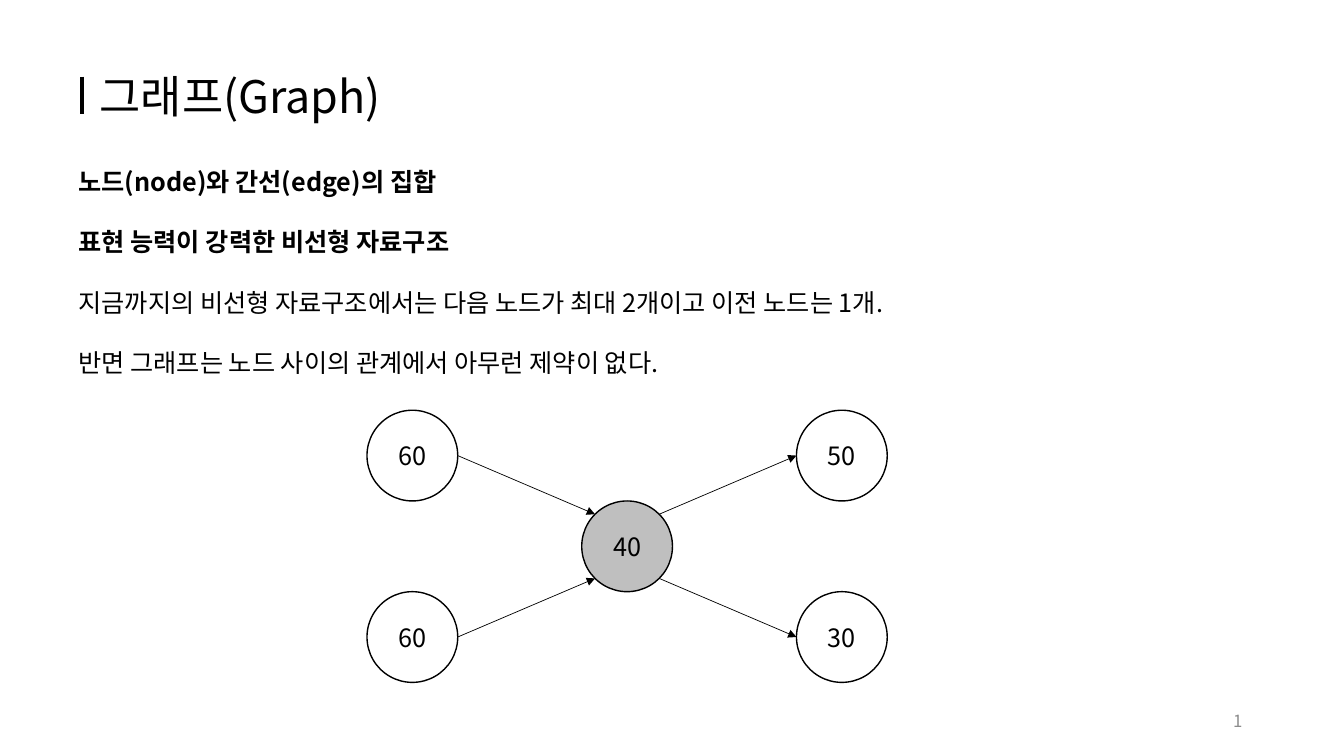
"""Build a slide that introduces the graph data structure with a five-node diagram."""
from math import sqrt

from lxml.etree import SubElement
from pptx import Presentation
from pptx.dml.color import RGBColor as Color
from pptx.enum.shapes import MSO_CONNECTOR as Line, MSO_SHAPE as Shape
from pptx.enum.text import MSO_ANCHOR as Anchor, PP_ALIGN as Align
from pptx.oxml.ns import qn
from pptx.util import Inches, Pt

THEME = {
    "font": "Noto Sans CJK KR",
    "ink": Color.from_string("000000"),
    "hub": Color.from_string("BFBFBF"),
    "muted": Color.from_string("8C8C8C"),
    "title": Pt(32),
    "body": Pt(18),
    "number": Pt(12),
    "gap": Pt(21.6),
}

deck = Presentation()
deck.slide_width, deck.slide_height = Inches(13.33), Inches(7.5)
page = deck.slides.add_slide(deck.slide_layouts[6])


def write(para, text, size, color=THEME["ink"], bold=False):
    """Add one styled run to a paragraph."""
    span = para.add_run()
    span.text = text
    font = span.font
    font.name, font.size, font.bold = THEME["font"], size, bold
    font.color.rgb = color
    SubElement(font._element, qn("a:ea"), typeface=THEME["font"])


def draw_line(start, end, width, arrow=False):
    """Draw a straight line between two points given in inches."""
    link = page.shapes.add_connector(Line.STRAIGHT, *map(Inches, start + end))
    link.line.color.rgb, link.line.width = THEME["ink"], width
    if arrow:
        SubElement(link.line._get_or_add_ln(), qn("a:tailEnd"), type="triangle")
    SubElement(link._element.spPr, qn("a:effectLst"))


title_box = page.shapes.add_textbox(*map(Inches, (0.89, 0.63, 5.77, 0.64)))
title_box.text_frame.word_wrap = True
write(title_box.text_frame.paragraphs[0], "그래프(Graph)", THEME["title"])
draw_line((0.81, 0.76), (0.81, 1.13), Pt(3))

statements = [
    ("노드(node)와 간선(edge)의 집합", True),
    ("표현 능력이 강력한 비선형 자료구조", True),
    ("지금까지의 비선형 자료구조에서는 다음 노드가 최대 2개이고 이전 노드는 1개.", False),
    ("반면 그래프는 노드 사이의 관계에서 아무런 제약이 없다.", False),
]
body_box = page.shapes.add_textbox(*map(Inches, (0.68, 1.6, 11.72, 2.52)))
body = body_box.text_frame
body.word_wrap = True
for index, (text, bold) in enumerate(statements):
    para = body.add_paragraph() if index else body.paragraphs[0]
    if index:
        para.space_before = THEME["gap"]
    write(para, text, THEME["body"], bold=bold)

number_box = page.shapes.add_textbox(*map(Inches, (9.42, 6.95, 3, 0.4)))
number_box.text_frame.word_wrap = True
number_box.text_frame.vertical_anchor = Anchor.MIDDLE
number = number_box.text_frame.paragraphs[0]
number.alignment = Align.RIGHT
write(number, "1", THEME["number"], THEME["muted"])

DIAMETER = 0.9
RADIUS = DIAMETER / 2
DIAGONAL = RADIUS / sqrt(2)
HUB_X, HUB_Y = 6.22, 5.42
COLUMN, ROW = 2.13, 0.9
nodes = [("40", 0, 0), ("30", 1, 1), ("50", 1, -1), ("60", -1, 1), ("60", -1, -1)]

for label, column, row in nodes:
    x, y = HUB_X + column * COLUMN, HUB_Y + row * ROW
    node = page.shapes.add_shape(
        Shape.OVAL, *map(Inches, (x - RADIUS, y - RADIUS, DIAMETER, DIAMETER)))
    node.shadow.inherit = False
    node.line.color.rgb, node.line.width = THEME["ink"], Pt(1)
    if column:
        node.fill.background()
        rim = (HUB_X + column * DIAGONAL, HUB_Y + row * DIAGONAL)
        side = (x - column * RADIUS, y)
        start, end = (rim, side) if column > 0 else (side, rim)
        draw_line(start, end, Pt(0.5), arrow=True)
    else:
        node.fill.solid()
        node.fill.fore_color.rgb = THEME["hub"]
    node.text_frame.vertical_anchor = Anchor.MIDDLE
    para = node.text_frame.paragraphs[0]
    para.alignment = Align.CENTER
    write(para, label, THEME["body"])

deck.save("out.pptx")
